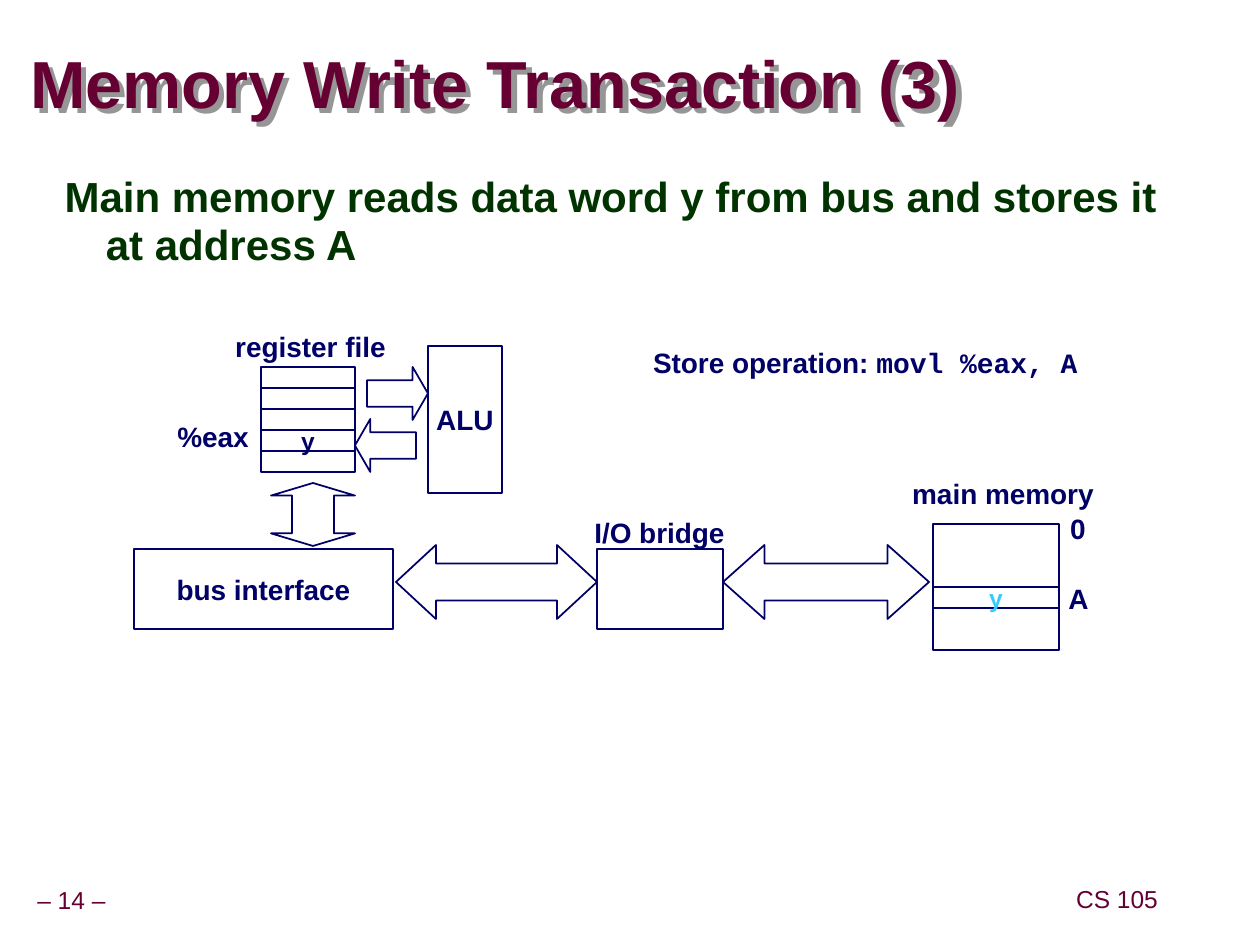
"""Build the memory write transaction slide."""
import pptx
import pptx.dml.color
import pptx.enum.shapes
import pptx.enum.text
import pptx.oxml
import pptx.util

RGB = pptx.dml.color.RGBColor
SHAPE = pptx.enum.shapes.MSO_SHAPE
ALIGN = pptx.enum.text.PP_ALIGN
ANCHOR = pptx.enum.text.MSO_ANCHOR
AUTO = pptx.enum.text.MSO_AUTO_SIZE

MAROON = RGB(0x66, 0x00, 0x33)
GREEN = RGB(0x00, 0x33, 0x00)
NAVY = RGB(0x00, 0x00, 0x66)
CYAN = RGB(0x33, 0xCC, 0xFF)
WHITE = RGB(0xFF, 0xFF, 0xFF)
PX = 914400 / 126
SHADOW = (
    '<a:effectLst xmlns:a="http://schemas.openxmlformats.org/drawingml/2006/main">'
    '<a:outerShdw dist="53882" dir="2700000" algn="ctr" rotWithShape="0">'
    '<a:srgbClr val="969696"/></a:outerShdw></a:effectLst>'
)

TITLE = "Memory Write Transaction (3)"
TITLE_BOX = (30, 34, 1017, 107)
BODY = " Main memory reads data word y from bus and stores it at address A"
BODY_BOX = (53, 174, 1119, 707)
FOOTERS = [("– 14 –", (-11, 882, 165, 39)), ("CS 105", (1070, 881, 94, 39))]
REGISTERS = ["", "", "", "y", ""]
REGISTER_BOX = (261, 367, 94, 21)
BOXES = [
    ("", (933, 524, 126, 126), 16, NAVY),
    ("", (597, 549, 126, 80), 16, NAVY),
    ("ALU", (428, 346, 74, 147), 16, NAVY),
    ("bus interface", (134, 549, 259, 80), 16, NAVY),
    ("y", (933, 587, 126, 21), 14, CYAN),
]
ARROWS = [
    (SHAPE.LEFT_RIGHT_ARROW, (723, 545, 206, 74), 0.56),
    (SHAPE.LEFT_RIGHT_ARROW, (396, 545, 201, 74), 0.54),
    (SHAPE.RIGHT_ARROW, (367, 367, 61, 53), 0.29),
    (SHAPE.LEFT_ARROW, (355, 419, 61, 53), 0.29),
    (SHAPE.UP_DOWN_ARROW, (271, 483, 84, 63), 0.2),
]
LABELS = [
    ("register file", (223, 323, 175, 47)),
    ("main memory", (900, 470, 206, 47)),
    ("0", (1058, 505, 40, 47)),
    ("A", (1056, 575, 45, 47)),
    ("%eax", (165, 413, 96, 47)),
    ("I/O bridge", (582, 509, 155, 47)),
]
OPERATION = [("Store operation: ", "Arial"), ("movl %eax, A", "Courier New")]
OPERATION_BOX = (653, 346, 449, 68)


def emu(box):
    return [round(v * PX) for v in box]


def add_run(p, text, size, color, bold=True, font="Arial"):
    r = p.add_run()
    r.text = text
    r.font.size = pptx.util.Pt(size)
    r.font.bold = bold
    r.font.name = font
    r.font.color.rgb = color


def add_text(slide, box, align=ALIGN.CENTER, anchor=ANCHOR.MIDDLE, wrap=False):
    s = slide.shapes.add_textbox(*emu(box))
    tf = s.text_frame
    tf.word_wrap = wrap
    tf.auto_size = AUTO.NONE
    tf.vertical_anchor = anchor
    tf.margin_left = tf.margin_right = tf.margin_top = tf.margin_bottom = 0
    p = tf.paragraphs[0]
    p.alignment = align
    return s, p


def add_outline(slide, kind, box):
    s = slide.shapes.add_shape(kind, *emu(box))
    s.shadow.inherit = False
    s.fill.background()
    s.line.color.rgb = NAVY
    s.line.width = pptx.util.Pt(1)
    return s


def add_box(slide, text, box, size, color):
    s = add_outline(slide, SHAPE.RECTANGLE, box)
    if text:
        tf = s.text_frame
        tf.word_wrap = False
        tf.vertical_anchor = ANCHOR.MIDDLE
        p = tf.paragraphs[0]
        p.alignment = ALIGN.CENTER
        add_run(p, text, size, color)
    return s


def main():
    prs = pptx.Presentation()
    prs.slide_width = pptx.util.Inches(10)
    prs.slide_height = pptx.util.Inches(7.5)
    slide = prs.slides.add_slide(prs.slide_layouts[6])

    for text, box in FOOTERS:
        s, p = add_text(slide, box)
        p.line_spacing = 0.9
        add_run(p, text, 14, MAROON, bold=False)

    s, p = add_text(slide, TITLE_BOX, ALIGN.LEFT, wrap=True)
    p.line_spacing = 0.87
    add_run(p, TITLE, 38, MAROON)
    s._element.spPr.append(pptx.oxml.parse_xml(SHADOW))

    s, p = add_text(slide, BODY_BOX, ALIGN.LEFT, ANCHOR.TOP, wrap=True)
    p.line_spacing = 0.95
    p.space_before = pptx.util.Pt(15)
    indent = pptx.util.Inches(0.42)
    pPr = p._p.get_or_add_pPr()
    pPr.set("marL", str(indent))
    pPr.set("indent", str(-indent))
    add_run(p, BODY, 24, GREEN)

    left, top, width, height = REGISTER_BOX
    for i, text in enumerate(REGISTERS):
        add_box(slide, text, (left, top + i * height, width, height), 14, NAVY)

    for kind, box, head in ARROWS:
        s = add_outline(slide, kind, box)
        guides = [("adj1", 50000), ("adj2", round(head * 100000))]
        s._element.spPr.prstGeom.rewrite_guides(guides)

    for text, box, size, color in BOXES:
        s = add_box(slide, text, box, size, color)
        if text == "bus interface":
            s.fill.solid()
            s.fill.fore_color.rgb = WHITE

    for text, box in LABELS:
        s, p = add_text(slide, box)
        add_run(p, text, 16, NAVY)

    s, p = add_text(slide, OPERATION_BOX, ALIGN.LEFT, ANCHOR.TOP, wrap=True)
    for text, font in OPERATION:
        add_run(p, text, 16, NAVY, font=font)

    prs.save("out.pptx")


if __name__ == "__main__":
    main()
